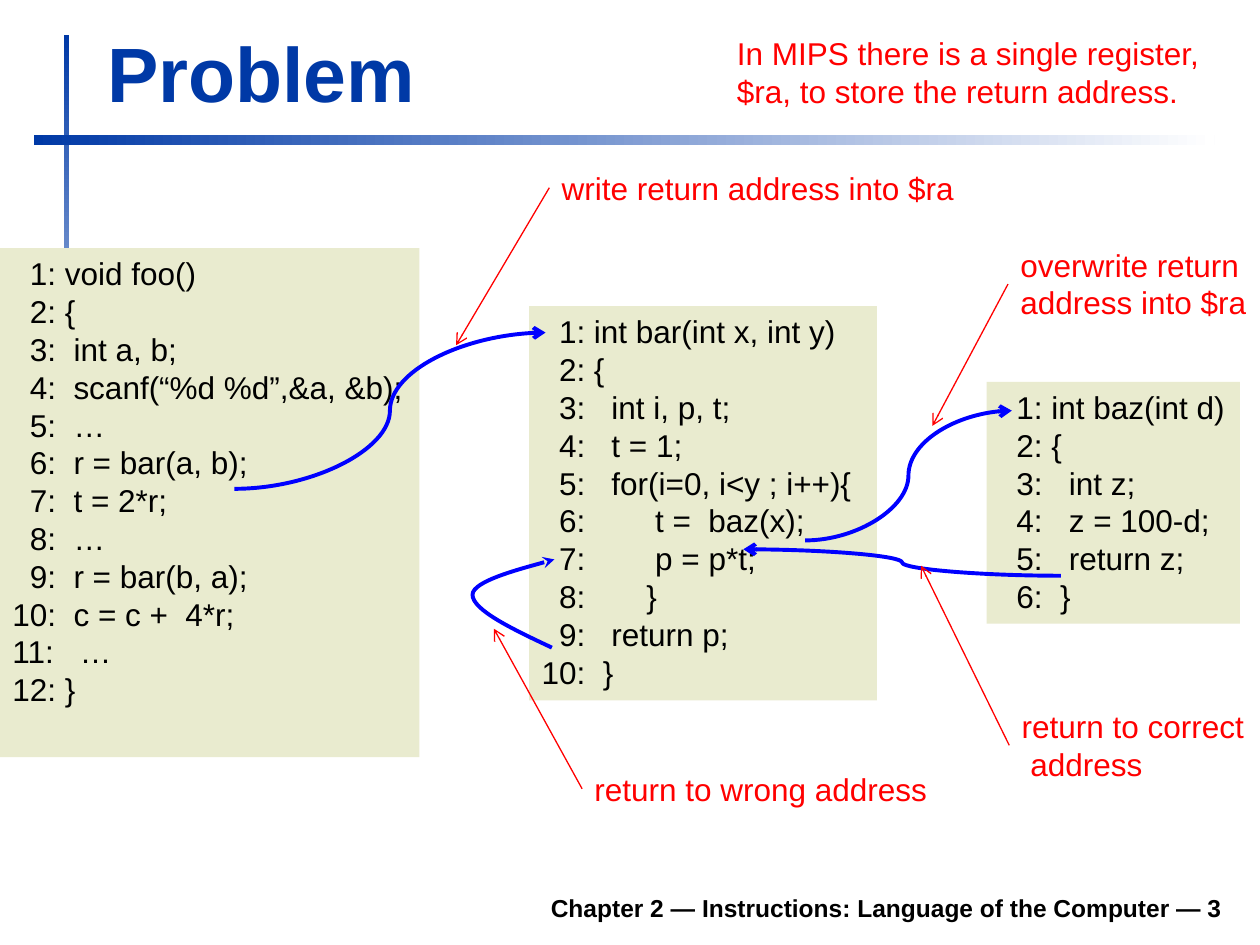
from dataclasses import dataclass

from lxml.etree import SubElement
from pptx import Presentation
from pptx.dml.color import RGBColor
from pptx.enum.shapes import MSO_CONNECTOR, MSO_SHAPE
from pptx.enum.text import MSO_ANCHOR, MSO_AUTO_SIZE, PP_ALIGN
from pptx.oxml.ns import qn
from pptx.util import Inches, Pt

NAVY = "0039A6"
WHITE = "FFFFFF"
BLACK = "000000"
RED = "FF0000"
BLUE = "0000FF"
CODE_FILL = "E9EBCF"


@dataclass
class Box:
    left: float
    top: float
    width: float
    height: float


@dataclass
class Listing:
    box: Box
    code: list[str]


@dataclass
class Note:
    box: Box
    lines: list[str]
    target: tuple[float, float]


@dataclass
class Jump:
    start: tuple[float, float]
    end: tuple[float, float]


BARS = [(Box(0.51, 0.28, 0.04, 4.17), 270), (Box(0.27, 1.07, 9.37, 0.08), 0)]

LISTINGS = [
    Listing(Box(0, 1.97, 3.33, 4.04), [
        "void foo()", "{", " int a, b;", " scanf(“%d %d”,&a, &b);", " …", " r = bar(a, b);",
        " t = 2*r;", " …", " r = bar(b, a);", " c = c +  4*r;", "  …", "}"]),
    Listing(Box(4.2, 2.43, 2.76, 3.13), [
        "int bar(int x, int y)", "{", "  int i, p, t;", "  t = 1;", "  for(i=0, i<y ; i++){",
        "       t =  baz(x);", "       p = p*t;", "      }", "  return p;", " }"]),
    Listing(Box(7.83, 3.03, 2.01, 1.92), [
        "int baz(int d)", "{", "  int z;", "  z = 100-d;", "  return z;", " }"]),
]

JUMPS = [
    Jump((1.86, 3.88), (4.33, 2.64)),
    Jump((6.39, 4.29), (8.03, 3.26)),
    Jump((8.42, 4.57), (5.9, 4.36)),
]

WRONG_RETURN = [(4.38, 5.14), (4.06, 4.99), (3.75, 4.84), (3.75, 4.72),
                (3.75, 4.61), (4.4, 4.44), (4.4, 4.44)]

NOTES = [
    Note(Box(4.36, 1.29, 3.5, 0.4), ["write return address into $ra"], (3.62, 2.74)),
    Note(Box(8, 1.9, 2, 0.71), ["overwrite return", "address into $ra"], (7.4, 3.38)),
    Note(Box(4.62, 6.06, 3.5, 0.4), ["return to wrong address"], (3.92, 4.99)),
    Note(Box(8.01, 5.56, 1.99, 0.71), ["return to correct", " address"], (7.31, 4.49)),
]


def color(value: str) -> RGBColor:
    return RGBColor.from_string(value)


def frame(box: Box) -> list[int]:
    return [Inches(length) for length in (box.left, box.top, box.width, box.height)]


def write(shape, lines: list[str], hue: str, size: float = 18, bold: bool = False,
          align=PP_ALIGN.LEFT, anchor=MSO_ANCHOR.TOP, wrap: bool = True) -> None:
    text = shape.text_frame
    text.text = "\n".join(lines)
    text.auto_size = MSO_AUTO_SIZE.NONE
    text.word_wrap = wrap
    text.vertical_anchor = anchor
    for para in text.paragraphs:
        para.alignment = align
        para.font.name = "Arial"
        para.font.size = Pt(size)
        para.font.bold = bold
        para.font.color.rgb = color(hue)


def add_rectangle(page, box: Box):
    shape = page.shapes.add_shape(MSO_SHAPE.RECTANGLE, *frame(box))
    shape.shadow.inherit = False
    shape.line.fill.background()
    return shape


def add_bar(page, box: Box, angle: float) -> None:
    fill = add_rectangle(page, box).fill
    fill.gradient()
    fill.gradient_angle = angle
    for stop, hue in zip(fill.gradient_stops, (NAVY, WHITE)):
        stop.color.rgb = color(hue)


def add_listing(page, listing: Listing) -> None:
    shape = add_rectangle(page, listing.box)
    shape.fill.solid()
    shape.fill.fore_color.rgb = color(CODE_FILL)
    lines = [f"{number:>{3 if number < 10 else 2}}: {code}"
             for number, code in enumerate(listing.code, 1)]
    write(shape, lines, BLACK, wrap=False)


def style_arrow(shape, hue: str, width: float, head: str = "arrow") -> None:
    shape.line.color.rgb = color(hue)
    shape.line.width = Pt(width)
    properties = shape.element.spPr
    SubElement(properties.find(qn("a:ln")), qn("a:tailEnd"), type=head)
    if properties.find(qn("a:effectLst")) is None:
        SubElement(properties, qn("a:effectLst"))


def add_arrow(page, kind, start: tuple[float, float], end: tuple[float, float],
              hue: str, width: float):
    points = [Inches(length) for length in (*start, *end)]
    arrow = page.shapes.add_connector(kind, *points)
    style_arrow(arrow, hue, width)
    return arrow


def add_note(page, note: Note) -> None:
    box = note.box
    label = page.shapes.add_textbox(*frame(box))
    write(label, note.lines, RED)
    start = (box.left, box.top + box.height / 2)
    arrow = add_arrow(page, MSO_CONNECTOR.STRAIGHT, start, note.target, RED, 0.75)
    arrow.begin_connect(label, 1)


def add_bezier_arrow(page, points: list[tuple[float, float]]) -> None:
    start, *controls = [(Inches(x), Inches(y)) for x, y in points]
    builder = page.shapes.build_freeform(*start)
    builder.add_line_segments(controls, close=False)
    shape = builder.convert_to_shape()
    shape.shadow.inherit = False
    shape.fill.background()
    outline = next(shape.element.iter(qn("a:path")))
    segments = outline.findall(qn("a:lnTo"))
    for first in range(0, len(segments), 3):
        curve = SubElement(outline, qn("a:cubicBezTo"))
        for segment in segments[first:first + 3]:
            curve.append(segment[0])
            outline.remove(segment)
    style_arrow(shape, BLUE, 2.25, "stealth")


def main() -> None:
    deck = Presentation()
    deck.slide_width, deck.slide_height = Inches(10), Inches(7.5)
    page = deck.slides.add_slide(deck.slide_layouts[5])

    for box, angle in BARS:
        add_bar(page, box, angle)

    title = page.shapes.title
    title.left, title.top, title.width, title.height = frame(Box(0.75, 0.16, 9.03, 0.83))
    write(title, ["Problem"], NAVY, 44, bold=True, anchor=MSO_ANCHOR.BOTTOM)

    footer = page.shapes.add_textbox(*frame(Box(1.85, 6.98, 7.95, 0.39)))
    write(footer, ["Chapter 2 — Instructions: Language of the Computer — 3"], BLACK, 14,
          bold=True, align=PP_ALIGN.RIGHT, anchor=MSO_ANCHOR.BOTTOM)

    for listing in LISTINGS:
        add_listing(page, listing)
    for jump in JUMPS:
        add_arrow(page, MSO_CONNECTOR.CURVE, jump.start, jump.end, BLUE, 2.25)

    remark = page.shapes.add_textbox(*frame(Box(5.75, 0.22, 3.91, 0.71)))
    write(remark, ["In MIPS there is a single register,", "$ra, to store the return address."],
          RED, wrap=False)

    add_bezier_arrow(page, WRONG_RETURN)
    for note in NOTES:
        add_note(page, note)

    deck.save("out.pptx")


if __name__ == "__main__":
    main()
